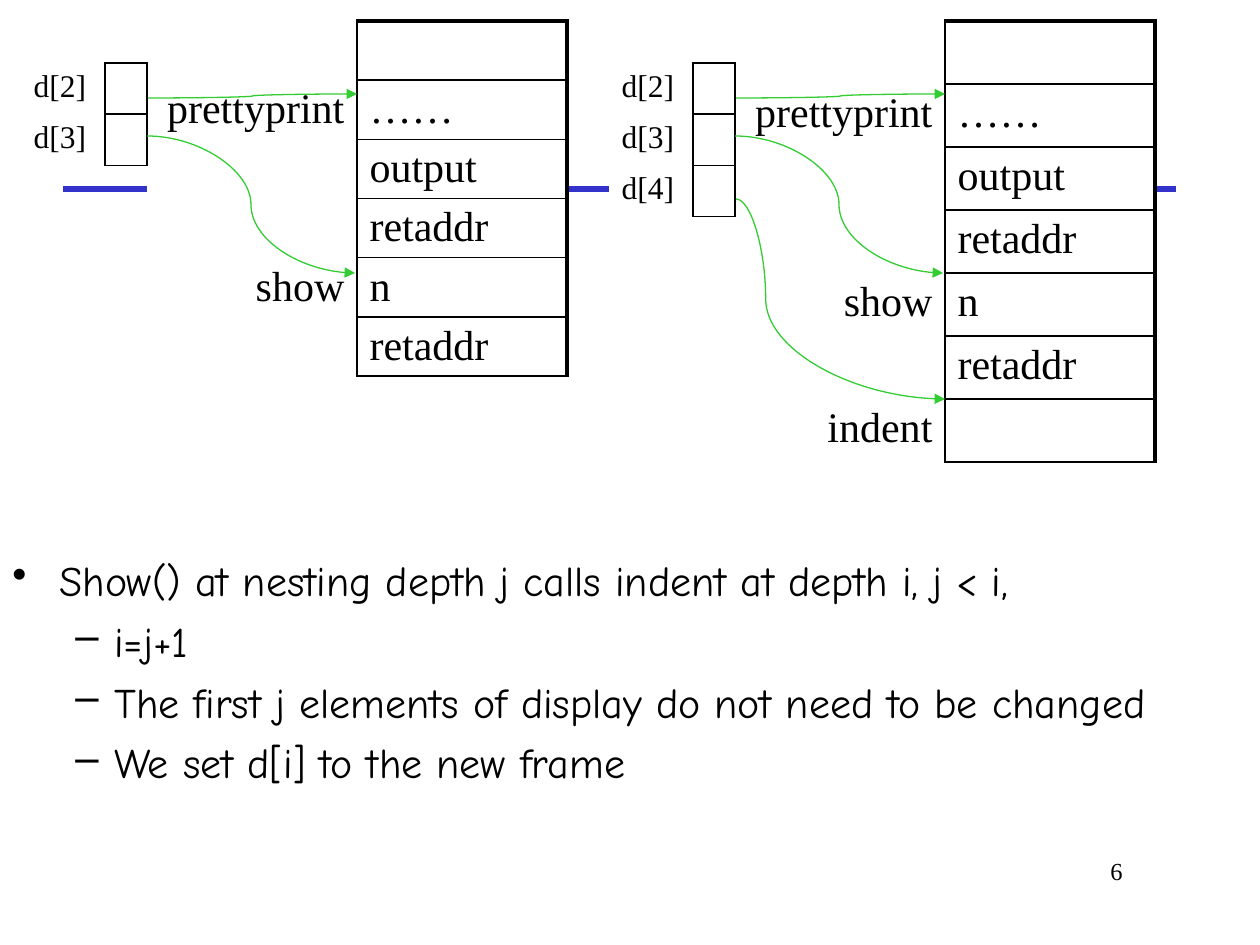
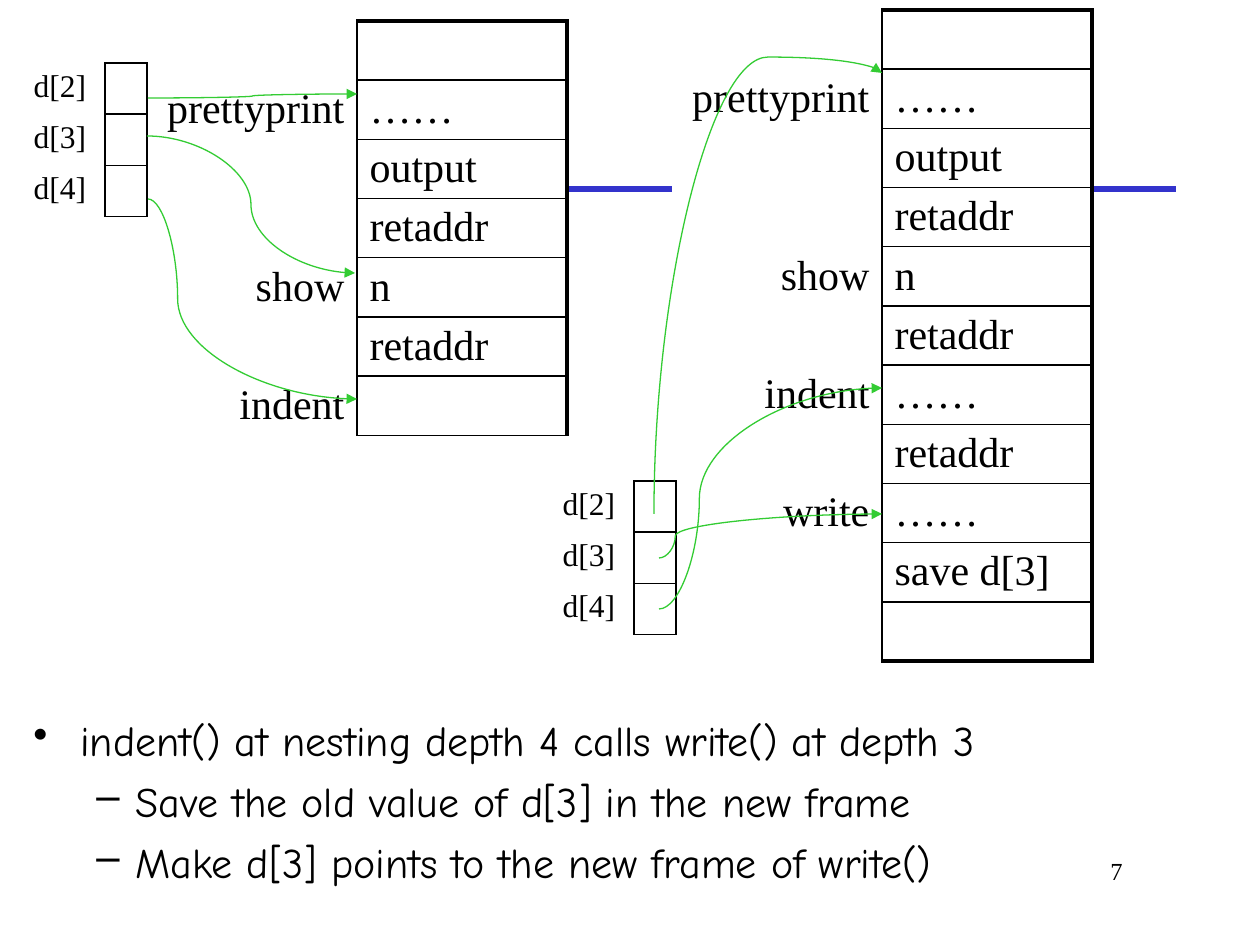
"""Builds two slides showing how a display points into stack frames."""
from dataclasses import dataclass

from lxml.etree import SubElement
from pptx import Presentation
from pptx.dml.color import RGBColor
from pptx.enum.shapes import MSO_CONNECTOR
from pptx.enum.text import PP_ALIGN
from pptx.oxml.ns import qn
from pptx.util import Emu, Pt


@dataclass(frozen=True)
class Theme:
    ink: RGBColor = RGBColor(0, 0, 0)
    paper: RGBColor = RGBColor(255, 255, 255)
    rule: RGBColor = RGBColor(0x33, 0x33, 0xCC)
    pointer: RGBColor = RGBColor(0x33, 0xCC, 0x33)
    diagram_font: str = "Times New Roman"
    body_font: str = "Comic Neue"
    body_size: float = 24
    slot_size: float = 18
    number_size: float = 14
    body_gap: float = 6
    rule_width: float = 3
    pointer_width: float = 0.75
    thin: float = 1
    thick: float = 2.25


def px(length):
    return Emu(round(length * 914400 / 126))


class Deck:
    def __init__(self, theme):
        self.theme = theme
        self.deck = Presentation()
        self.deck.slide_width, self.deck.slide_height = px(1260), px(945)
        self.page = None

    def start_page(self, number):
        self.page = self.deck.slides.add_slide(self.deck.slide_layouts[6])
        self.line((63, 189), (1176, 189), self.theme.rule, self.theme.rule_width)
        frame = self.text_frame(872, 850, 263, 63)
        frame.text = str(number)
        self.style(frame.paragraphs[0], self.theme.diagram_font,
                   self.theme.number_size, PP_ALIGN.RIGHT)

    def text_frame(self, left, top, width, height):
        box = self.page.shapes.add_textbox(px(left), px(top), px(width), px(height))
        box.text_frame.word_wrap = True
        return box.text_frame

    def style(self, para, font, size, align=PP_ALIGN.LEFT):
        para.alignment = align
        for span in para.runs:
            span.font.name = font
            span.font.size = Pt(size)
            span.font.color.rgb = self.theme.ink

    def line(self, begin, end, color, width, kind=MSO_CONNECTOR.STRAIGHT):
        connector = self.page.shapes.add_connector(
            kind, *(px(value) for value in (*begin, *end)))
        connector.line.color.rgb = color
        connector.line.width = Pt(width)
        SubElement(connector.element.spPr, qn("a:effectLst"))
        return connector

    def pointer(self, begin, end, bend=0.5, upright=False):
        if upright:
            middle_x, middle_y = (begin[0] + end[0]) / 2, (begin[1] + end[1]) / 2
            half_run, half_rise = (begin[1] - end[1]) / 2, (end[0] - begin[0]) / 2
            begin = (middle_x + half_run, middle_y + half_rise)
            end = (middle_x - half_run, middle_y - half_rise)
        connector = self.line(begin, end, self.theme.pointer,
                              self.theme.pointer_width, MSO_CONNECTOR.CURVE)
        properties = connector.element.spPr
        if upright:
            properties.find(qn("a:xfrm")).set("rot", "5400000")
        SubElement(properties.find(qn("a:ln")), qn("a:tailEnd"), type="triangle")
        guides = properties.find(qn("a:prstGeom")).find(qn("a:avLst"))
        SubElement(guides, qn("a:gd"), name="adj1", fmla=f"val {round(bend * 100000)}")

    def borders(self, cell, *widths):
        properties = cell._tc.get_or_add_tcPr()
        for position, (side, width) in enumerate(zip("LRTB", widths)):
            edge = SubElement(properties, qn(f"a:ln{side}"), w=str(Pt(width)))
            properties.insert(position, edge)
            if width:
                fill = SubElement(edge, qn("a:solidFill"))
                SubElement(fill, qn("a:srgbClr"), val=str(self.theme.ink))
            else:
                SubElement(edge, qn("a:noFill"))

    def table(self, left, top, columns, row_height, rows, size, label_align,
              outer=None, closed=False):
        """Draws borderless labels beside a column of ruled cells."""
        thin = self.theme.thin
        outer = outer or thin
        grid = self.page.shapes.add_table(
            len(rows), 2, px(left), px(top), px(sum(columns)),
            px(row_height * len(rows))).table
        grid.first_row = grid.horz_banding = False
        for column, width in zip(grid.columns, columns):
            column.width = px(width)
        for index, texts in enumerate(rows):
            grid.rows[index].height = px(row_height)
            upper = outer if index == 0 else thin
            lower = outer if closed and index == len(rows) - 1 else thin
            edges = ((0, thin, 0, 0), (thin, outer, upper, lower))
            for column, (text, widths) in enumerate(zip(texts, edges)):
                cell = grid.cell(index, column)
                cell.fill.solid()
                cell.fill.fore_color.rgb = self.theme.paper
                cell.margin_top, cell.margin_bottom = px(6), px(2)
                self.borders(cell, *widths)
                if text:
                    cell.text = text
                    self.style(cell.text_frame.paragraphs[0], self.theme.diagram_font,
                               size, PP_ALIGN.LEFT if column else label_align)

    def stack(self, left, top, rows, row_height=59.2, closed=False):
        self.table(left, top, (210, 210), row_height, rows, self.theme.body_size,
                   PP_ALIGN.RIGHT, self.theme.thick, closed)

    def display(self, left, top, depth):
        slots = [(f"d[{level}]", "") for level in range(2, depth + 1)]
        self.table(left, top, (84, 42), 51.2, slots, self.theme.slot_size, PP_ALIGN.LEFT)

    def linked_stack(self, left, rows, depth, row_height=59.2):
        self.stack(left, 21, rows, row_height)
        self.display(left - 126, 63, depth)
        self.pointer((left + 1, 98), (left + 210, 94))
        self.pointer((left, 136), (left + 208, 273))
        if depth > 3:
            self.pointer((left + 1, 199), (left + 210, 399), 0.142)

    def bullets(self, left, top, width, height, heading, *points):
        frame = self.text_frame(left, top, width, height)
        frame.text = "\n".join((heading, *points))
        for index, para in enumerate(frame.paragraphs):
            margin, hang, mark = (102, 39, "–") if index else (47, 47, "•")
            properties = para._p.get_or_add_pPr()
            properties.set("marL", str(px(margin)))
            properties.set("indent", str(px(-hang)))
            if index:
                para.level = 1
                para.space_before = Pt(self.theme.body_gap)
            SubElement(properties, qn("a:buChar"), char=mark)
            self.style(para, self.theme.body_font, self.theme.body_size)


SHOW_FRAMES = [("", ""), ("prettyprint", "……"), ("", "output"), ("", "retaddr"),
               ("show", "n"), ("", "retaddr")]
INDENT_FRAMES = SHOW_FRAMES + [("indent", "")]
WRITE_FRAMES = SHOW_FRAMES + [("indent", "……"), ("", "retaddr"), ("write", "……"),
                              ("", "save d[3]"), ("", "")]


def show_calls_indent(deck):
    deck.start_page(6)
    deck.linked_stack(147, SHOW_FRAMES, 3)
    deck.bullets(0, 548, 1265, 247,
                 "Show() at nesting depth j calls indent at depth i, j < i,",
                 "i=j+1",
                 "The first j elements of display do not need to be changed",
                 "We set d[i] to the new frame")
    deck.linked_stack(735, INDENT_FRAMES, 4, 63)


def indent_calls_write(deck):
    deck.start_page(7)
    deck.stack(672, 10, WRITE_FRAMES, closed=True)
    deck.linked_stack(147, INDENT_FRAMES, 4)
    deck.display(550, 481, 4)
    deck.pointer((654, 514), (882, 73), 1.036, upright=True)
    deck.pointer((659, 558), (882, 514), 0.073)
    deck.pointer((659, 609), (882, 388), 0.181)
    deck.bullets(21, 708, 1166, 185,
                 "indent() at nesting depth 4 calls write() at depth 3",
                 "Save the old value of d[3] in the new frame",
                 "Make d[3] points to the new frame of write()")


def main():
    deck = Deck(Theme())
    show_calls_indent(deck)
    indent_calls_write(deck)
    deck.deck.save("out.pptx")


if __name__ == "__main__":
    main()
